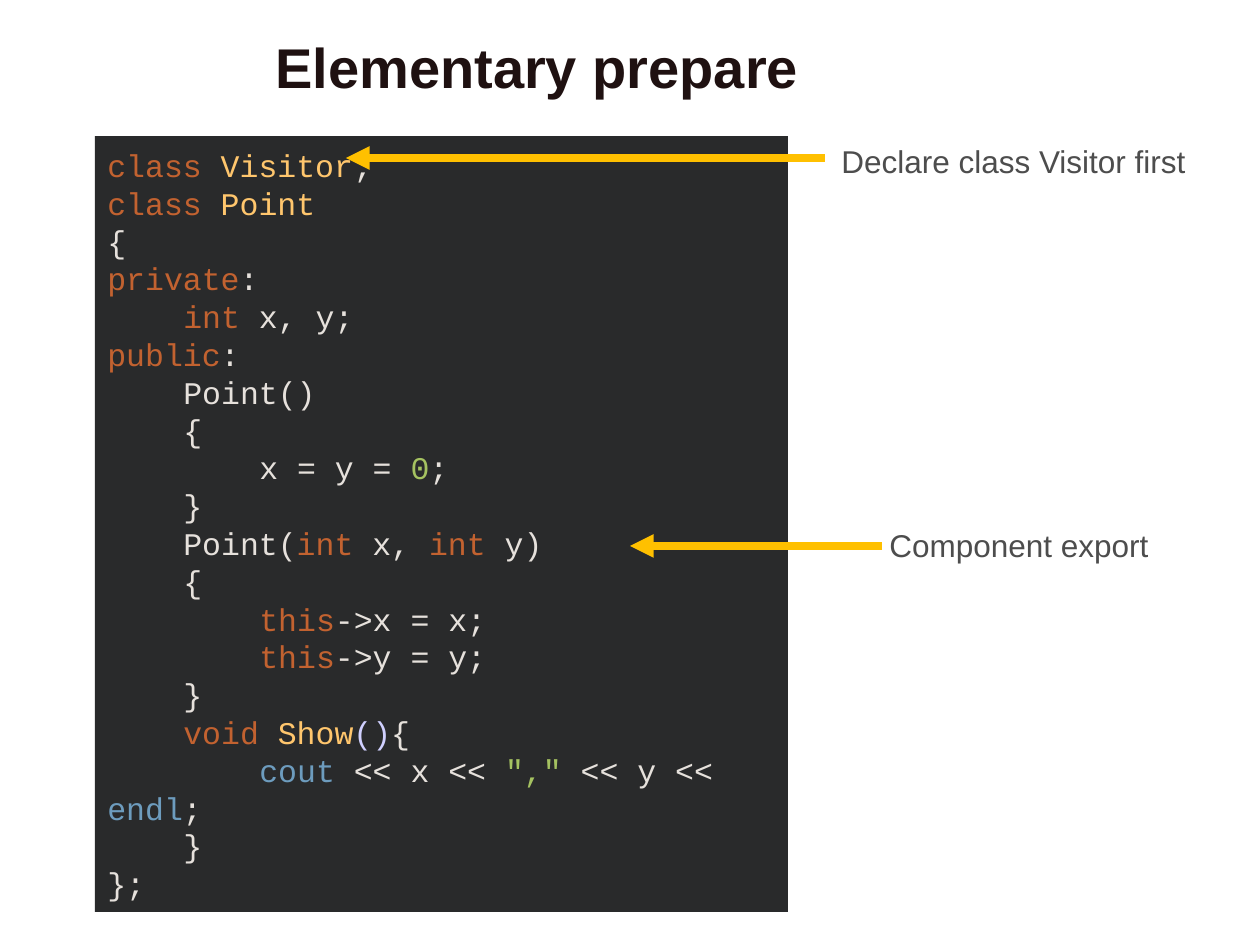
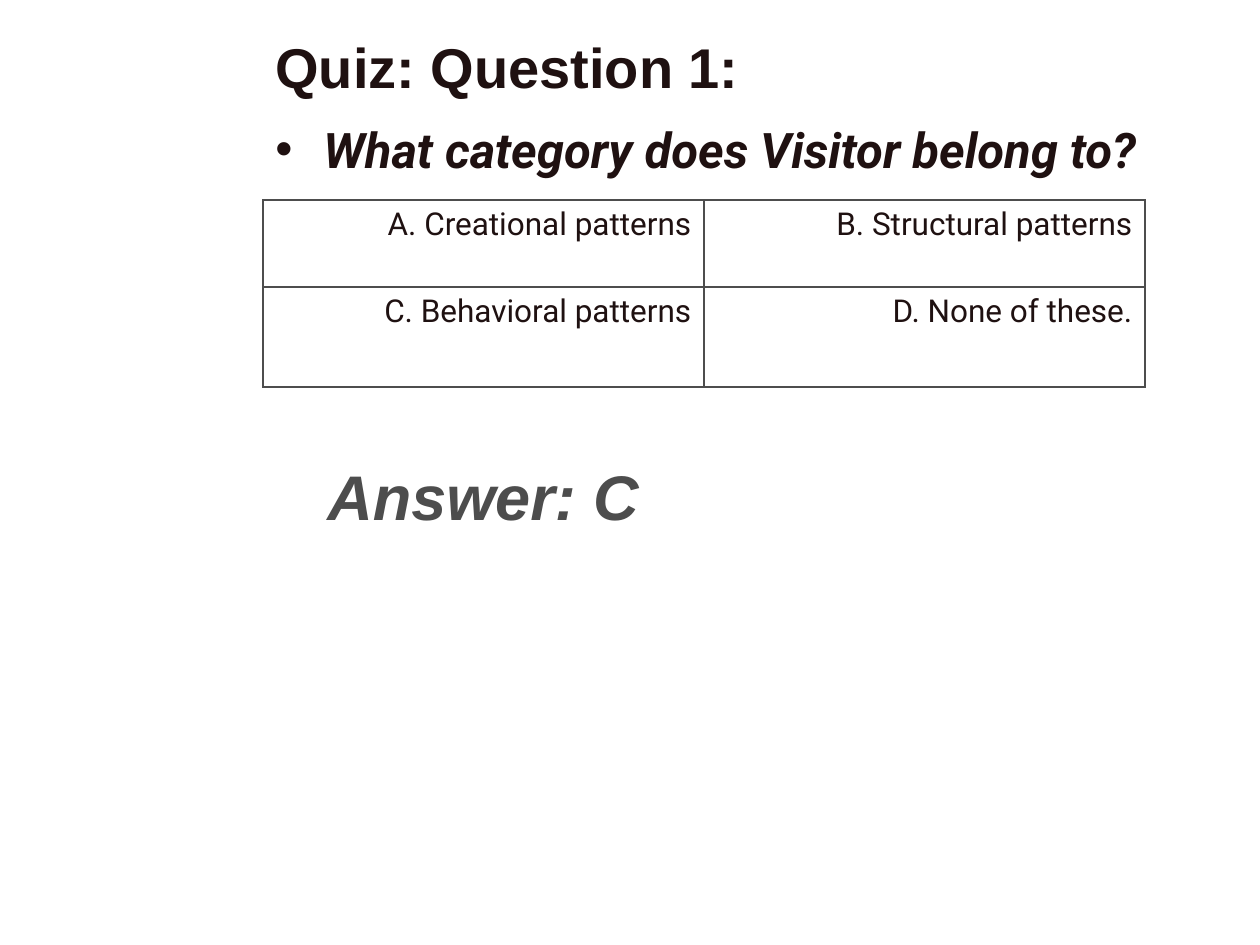
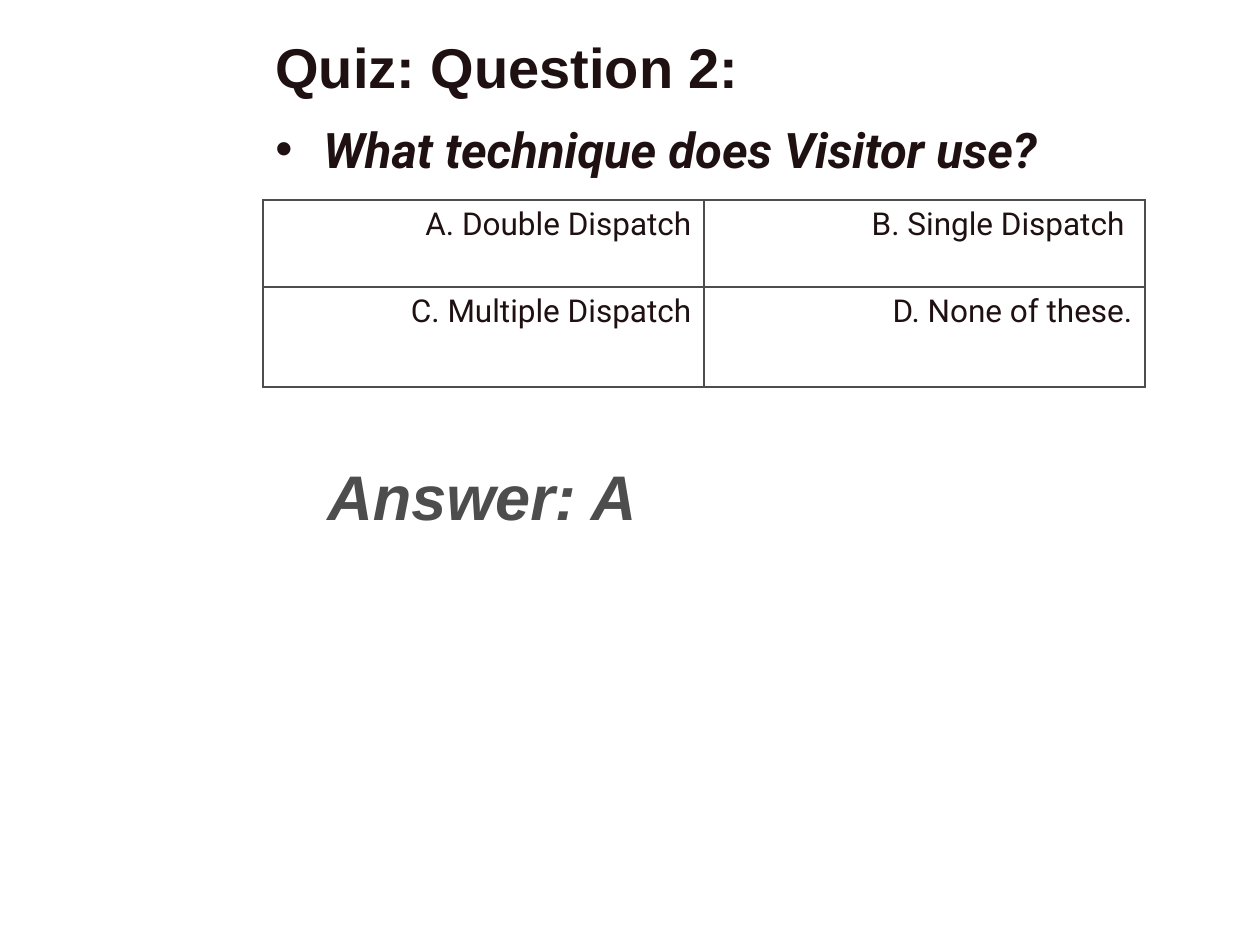
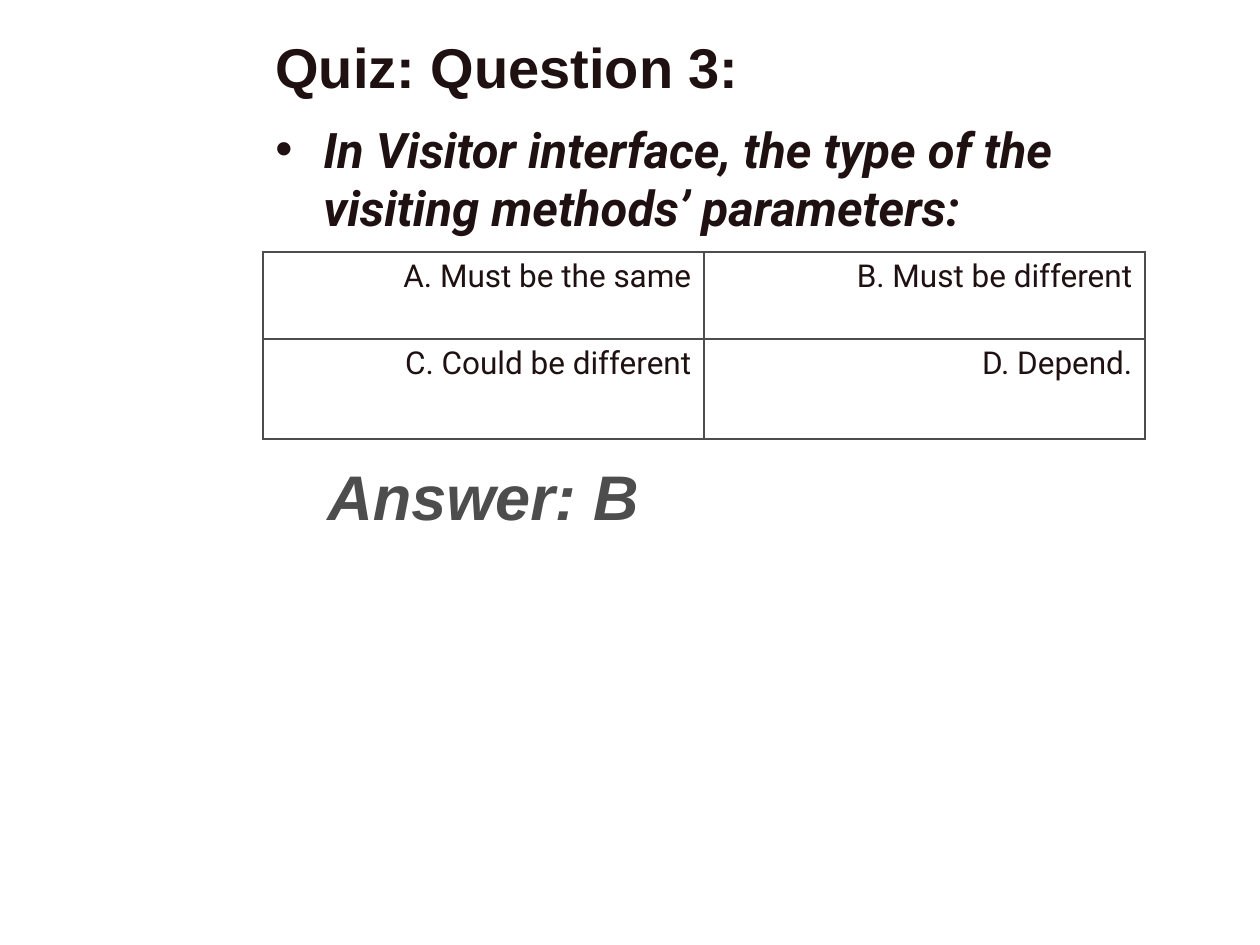
from lxml import etree
from pptx import Presentation
from pptx import util as u
from pptx.dml.color import RGBColor
from pptx.enum import shapes, text
from pptx.oxml import ns

PX = 914400 / 126
SLIDE_WIDTH, SLIDE_HEIGHT = 1260, 945

# Shared colours
INK = RGBColor(0x1F, 0x11, 0x11)
GRAY = RGBColor(0x4D, 0x4D, 0x4D)
WHITE = RGBColor(0xFF, 0xFF, 0xFF)
GOLD = RGBColor(0xFF, 0xC0, 0x00)
PANEL = RGBColor(0x29, 0x2A, 0x2B)

# Syntax colours
PLAIN = RGBColor(0xE6, 0xE1, 0xDC)
KEYWORD = RGBColor(0xC2, 0x62, 0x30)
NAME = RGBColor(0xFF, 0xC6, 0x6D)
LITERAL = RGBColor(0xA5, 0xC2, 0x61)
PARENS = RGBColor(0xD0, 0xD0, 0xFF)
STREAM = RGBColor(0x6D, 0x9C, 0xBE)

# Shared boxes: left, top, width, height
TITLE_BOX = (263, 16, 973, 100)
CODE_BOX = (95, 136, 693, 776)
QUIZ_BOX = (263, 113, 934, 428)

CODE_INDENT = 76  # four characters of code
ROW_HEIGHTS = (87, 100)

# Each code line: indent level, then its coloured runs
CODE_LINES = [
    (0, [("class ", KEYWORD), ("Visitor", NAME), (";", PLAIN)]),
    (0, [("class ", KEYWORD), ("Point", NAME)]),
    (0, [("{", PLAIN)]),
    (0, [("private", KEYWORD), (":", PLAIN)]),
    (1, [("int", KEYWORD), (" x, y;", PLAIN)]),
    (0, [("public", KEYWORD), (":", PLAIN)]),
    (1, [("Point()", PLAIN)]),
    (1, [("{", PLAIN)]),
    (2, [("x = y = ", PLAIN), ("0", LITERAL), (";", PLAIN)]),
    (1, [("}", PLAIN)]),
    (1, [("Point(", PLAIN), ("int", KEYWORD), (" x, ", PLAIN),
         ("int", KEYWORD), (" y)", PLAIN)]),
    (1, [("{", PLAIN)]),
    (2, [("this", KEYWORD), ("->x = x;", PLAIN)]),
    (2, [("this", KEYWORD), ("->y = y;", PLAIN)]),
    (1, [("}", PLAIN)]),
    (1, [("void ", KEYWORD), ("Show", NAME), ("()", PARENS), ("{", PLAIN)]),
    (2, [("cout", STREAM), (" << x << ", PLAIN), ('","', LITERAL),
         (" << y << ", PLAIN), ("endl", STREAM), (";", PLAIN)]),
    (1, [("}", PLAIN)]),
    (0, [("};", PLAIN)]),
]

QUIZZES = [
    dict(question="What category does Visitor belong to?", answer="C", table_top=87,
         choices=[["A. Creational patterns", "B. Structural patterns"],
                  ["C. Behavioral patterns", "D. None of these."]]),
    dict(question="What technique does Visitor use?", answer="A", table_top=87,
         choices=[["A. Double Dispatch", "B. Single Dispatch "],
                  ["C. Multiple Dispatch", "D. None of these."]]),
    dict(question="In Visitor interface, the type of the visiting methods’ parameters:",
         answer="B", table_top=139,
         choices=[["A. Must be the same", "B. Must be different"],
                  ["C. Could be different", "D. Depend."]]),
]


def px(length):
    return u.Emu(round(length * PX))


def add_run(paragraph, words, size, color, font="Arial", bold=False, italic=False):
    run = paragraph.add_run()
    run.text = words
    run.font.name = font
    run.font.size = u.Pt(size)
    run.font.bold = bold
    run.font.italic = italic
    run.font.color.rgb = color


def add_text(slide, box, words, size, color, anchor=text.MSO_ANCHOR.TOP, **style):
    frame = slide.shapes.add_textbox(*map(px, box)).text_frame
    frame.word_wrap = True
    frame.vertical_anchor = anchor
    paragraph = frame.paragraphs[0]
    add_run(paragraph, words, size, color, **style)
    return paragraph


def add_title(slide, words):
    add_text(slide, TITLE_BOX, words, 32, INK, text.MSO_ANCHOR.MIDDLE, bold=True)


def add_arrow(slide, start, end, y):
    arrow = slide.shapes.add_connector(
        shapes.MSO_CONNECTOR.STRAIGHT, px(start), px(y), px(end), px(y))
    arrow.line.color.rgb = GOLD
    arrow.line.width = u.Pt(4.5)
    line = arrow.line._get_or_add_ln()
    etree.SubElement(line, ns.qn("a:tailEnd"), type="triangle")
    etree.SubElement(arrow._element.spPr, ns.qn("a:effectLst"))


def add_code_panel(slide, box):
    panel = slide.shapes.add_shape(shapes.MSO_SHAPE.RECTANGLE, *map(px, box))
    panel.shadow.inherit = False
    panel.fill.solid()
    panel.fill.fore_color.rgb = PANEL
    panel.line.fill.background()
    frame = panel.text_frame
    frame.word_wrap = True
    frame.vertical_anchor = text.MSO_ANCHOR.MIDDLE
    for number, (level, runs) in enumerate(CODE_LINES):
        paragraph = frame.add_paragraph() if number else frame.paragraphs[0]
        paragraph.alignment = text.PP_ALIGN.LEFT
        paragraph.line_spacing = u.Pt(21.6)
        # First-line indent only, so a wrapped line returns to the margin
        paragraph._p.get_or_add_pPr().set("indent", str(px(level * CODE_INDENT)))
        for words, color in runs:
            add_run(paragraph, words, 18, color, font="Courier New")


def add_code_notes(slide, box):
    left, top, width, height = box
    add_text(slide, (left + 734, top, 388, 50), "Declare class Visitor first", 18, GRAY)
    add_arrow(slide, left + 730, left + 251, top + 22)
    add_arrow(slide, left + 787, left + 535, top + 410)
    add_text(slide, (left + 782, top + 384, 383, 50), "Component export", 18, GRAY)


def add_question(slide, box, question):
    paragraph = add_text(slide, box, question, 28, INK,
                         font="Roboto", bold=True, italic=True)
    paragraph.space_before = u.Pt(3)
    properties = paragraph._p.get_or_add_pPr()
    properties.set("marL", str(px(48)))
    properties.set("indent", str(px(-48)))
    etree.SubElement(properties, ns.qn("a:buFont"), typeface="Arial")
    etree.SubElement(properties, ns.qn("a:buChar"), char="•")


def add_borders(cell):
    properties = cell._tc.get_or_add_tcPr()
    for position, side in enumerate(("lnL", "lnR", "lnT", "lnB")):
        border = etree.Element(ns.qn(f"a:{side}"), w=str(u.Pt(1)))
        fill = etree.SubElement(border, ns.qn("a:solidFill"))
        etree.SubElement(fill, ns.qn("a:srgbClr"), val=str(GRAY))
        properties.insert(position, border)


def add_choices(slide, box, choices):
    table = slide.shapes.add_table(
        len(choices), len(choices[0]), *map(px, box)).table
    table.first_row = False
    table.horz_banding = False
    for row, height, row_choices in zip(table.rows, ROW_HEIGHTS, choices):
        row.height = px(height)
        for cell, choice in zip(row.cells, row_choices):
            cell.fill.solid()
            cell.fill.fore_color.rgb = WHITE
            add_borders(cell)
            paragraph = cell.text_frame.paragraphs[0]
            paragraph.alignment = text.PP_ALIGN.RIGHT
            add_run(paragraph, choice, 18, INK, font="Roboto")


def add_quiz(slide, box, question, answer, table_top, choices):
    left, top, width, height = box
    add_question(slide, (left, top, width, 127), question)
    add_choices(slide, (left, top + table_top, 882, sum(ROW_HEIGHTS)), choices)
    add_text(slide, (left + 52, top + 338, 378, 90), f"Answer: {answer}", 36, GRAY,
             bold=True, italic=True)


def main():
    presentation = Presentation()
    presentation.slide_width = px(SLIDE_WIDTH)
    presentation.slide_height = px(SLIDE_HEIGHT)
    blank = presentation.slide_layouts[6]

    # Code slide
    slide = presentation.slides.add_slide(blank)
    add_title(slide, "Elementary prepare")
    add_code_panel(slide, CODE_BOX)
    add_code_notes(slide, CODE_BOX)

    # Quiz slides
    for number, quiz in enumerate(QUIZZES, start=1):
        slide = presentation.slides.add_slide(blank)
        add_title(slide, f"Quiz: Question {number}:")
        add_quiz(slide, QUIZ_BOX, **quiz)

    presentation.save("out.pptx")


if __name__ == "__main__":
    main()
